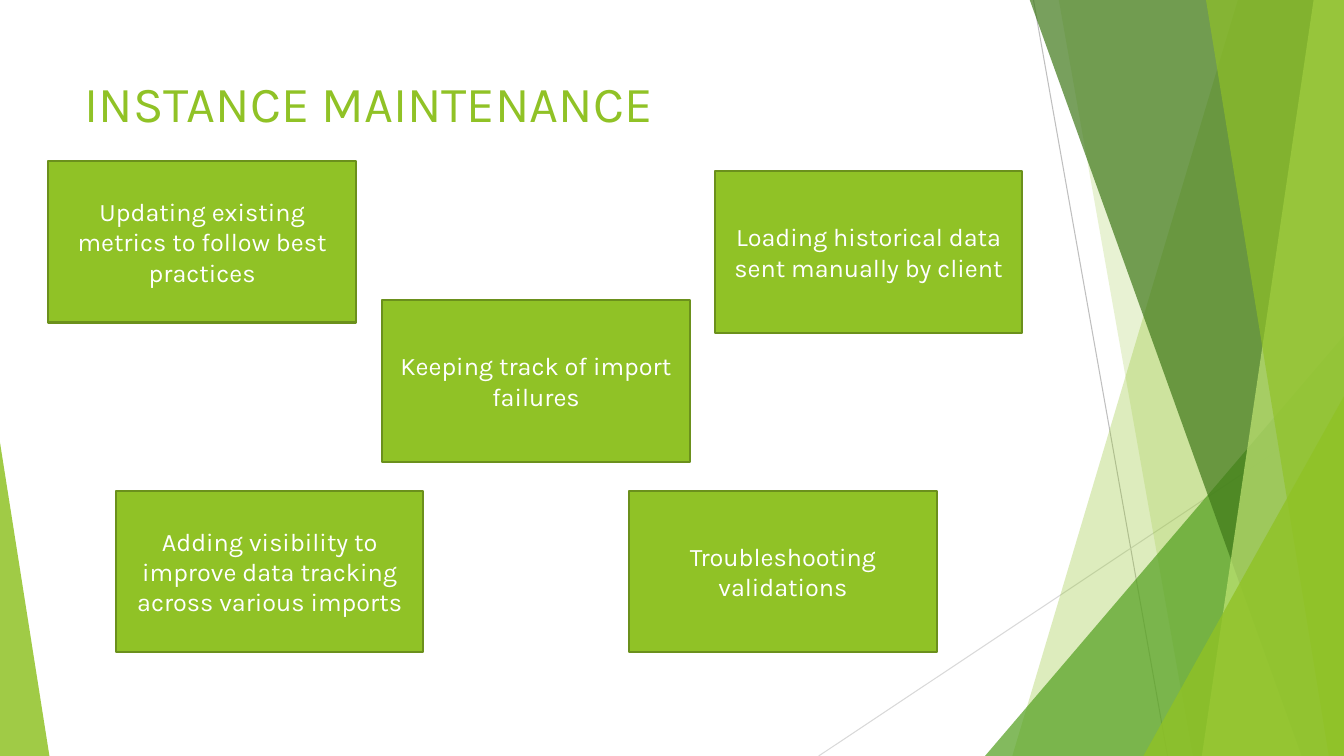
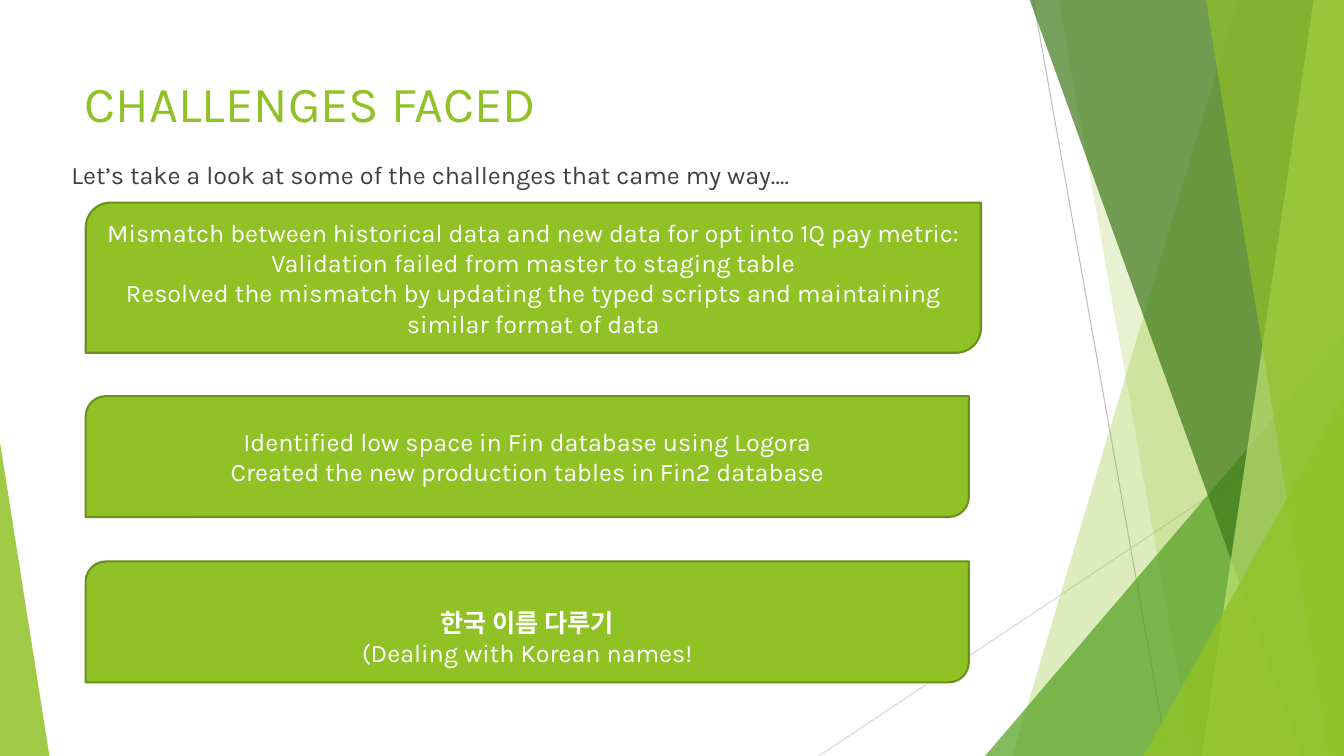
from lxml.etree import SubElement
from pptx import Presentation
from pptx.dml.color import RGBColor
from pptx.enum.shapes import MSO_CONNECTOR, MSO_SHAPE
from pptx.enum.text import MSO_ANCHOR, MSO_AUTO_SIZE, PP_ALIGN
from pptx.oxml.ns import qn
from pptx.util import Inches, Pt

WIDTH, HEIGHT = 13.33, 7.5
COLORS = {
    "lime": "90C226", "lime_edge": "6B901C", "pale_lime": "C0E474",
    "green": "54A021", "forest": "3F7819", "text": "404040",
    "white": "FFFFFF", "line": "BFBFBF", "light_line": "D9D9D9",
}
TITLE = {"name": "Karla", "size": Pt(36), "bold": False, "color": "lime"}
BODY = {"name": "Karla", "size": Pt(18), "bold": False, "color": "text"}
CARD = {**BODY, "color": "white"}
KOREAN = {**CARD, "name": "Roboto", "bold": True}

# from, to, colour
BACKDROP_LINES = [
    ((10.25, 0), (11.58, HEIGHT), "line"),
    ((WIDTH, 4.03), (8.12, HEIGHT), "light_line"),
]
# Sheets run from a slanted left edge (top x, bottom x) to the slide's right edge;
# corners are (left, top, width, apex position). Both end with colour and opacity.
BACKDROP_PARTS = [
    ("sheet", (12.28, 10.04), "lime", 30),
    ("sheet", (10.5, 11.83), "lime", 20),
    ("corner", (9.77, 3.33, 3.56, 1), "green", 72),
    ("sheet", (10.21, 12.91), "forest", 70),
    ("sheet", (13.03, 11.92), "pale_lime", 70),
    ("sheet", (11.96, 13.18), "lime", 65),
    ("corner", (11.34, 3.93, 1.99, 1), "lime", 80),
    ("corner", (0, 4.39, 0.49, 0), "lime", 85),
]


def rgb(color):
    return RGBColor.from_string(COLORS[color])


class Deck:
    def __init__(self):
        self.prs = Presentation()
        self.prs.slide_width, self.prs.slide_height = Inches(WIDTH), Inches(HEIGHT)
        self.slide = None

    def add_slide(self, title, title_height):
        self.slide = self.prs.slides.add_slide(self.prs.slide_layouts[5])
        heading = self.slide.shapes.title
        box = {"left": 0.74, "top": 0.67, "width": 9.4, "height": title_height}
        for side, inches in box.items():
            setattr(heading, side, Inches(inches))
        self.set_text(heading, [title], TITLE, PP_ALIGN.LEFT, MSO_ANCHOR.TOP)
        self.backdrop()

    def set_text(self, shape, lines, style, align, anchor):
        """Fill a shape with paragraphs; a line may be a (text, style) pair."""
        frame = shape.text_frame
        frame.word_wrap = True
        frame.auto_size = MSO_AUTO_SIZE.NONE
        frame.vertical_anchor = anchor
        for index, line in enumerate(lines):
            text, look = (line, style) if isinstance(line, str) else line
            paragraph = frame.paragraphs[0] if index == 0 else frame.add_paragraph()
            paragraph.alignment = align
            run = paragraph.add_run()
            run.text = text
            for key, value in look.items():
                if key == "color":
                    run.font.color.rgb = rgb(value)
                else:
                    setattr(run.font, key, value)

    def paint(self, shape, fill, edge=None, opacity=100):
        shape.shadow.inherit = False
        shape.fill.solid()
        shape.fill.fore_color.rgb = rgb(fill)
        if opacity < 100:
            color = shape._element.spPr.find(qn("a:solidFill")).find(qn("a:srgbClr"))
            SubElement(color, qn("a:alpha")).set("val", str(opacity * 1000))
        if edge:
            shape.line.color.rgb = rgb(edge)
            shape.line.width = Pt(1.5)
        else:
            shape.line.fill.background()

    def line(self, start, end, color):
        points = [Inches(value) for value in (*start, *end)]
        rule = self.slide.shapes.add_connector(MSO_CONNECTOR.STRAIGHT, *points)
        rule.line.color.rgb = rgb(color)
        rule.line.width = Pt(0.75)
        SubElement(rule._element.spPr, qn("a:effectLst"))

    def sheet(self, top_x, bottom_x):
        outline = self.slide.shapes.build_freeform(Inches(top_x), Inches(-0.01))
        corners = [(WIDTH, -0.01), (WIDTH, HEIGHT), (bottom_x, HEIGHT)]
        outline.add_line_segments([(Inches(x), Inches(y)) for x, y in corners])
        return outline.convert_to_shape()

    def corner(self, left, top, width, apex):
        """Add a triangle that stands on the slide's bottom edge."""
        box = [Inches(value) for value in (left, top, width, HEIGHT - top)]
        triangle = self.slide.shapes.add_shape(MSO_SHAPE.ISOSCELES_TRIANGLE, *box)
        triangle.adjustments[0] = apex
        return triangle

    def backdrop(self):
        for rule in BACKDROP_LINES:
            self.line(*rule)
        draw = {"sheet": self.sheet, "corner": self.corner}
        for kind, geometry, color, opacity in BACKDROP_PARTS:
            self.paint(draw[kind](*geometry), color, opacity=opacity)

    def card(self, preset, box, lines, top_inset=0.05):
        card = self.slide.shapes.add_shape(preset, *[Inches(value) for value in box])
        self.paint(card, "lime", "lime_edge")
        card.text_frame.margin_top = Inches(top_inset)
        self.set_text(card, lines, CARD, PP_ALIGN.CENTER, MSO_ANCHOR.MIDDLE)

    def body(self, box, text):
        intro = self.slide.shapes.add_textbox(*[Inches(value) for value in box])
        self.set_text(intro, [text], BODY, PP_ALIGN.LEFT, MSO_ANCHOR.TOP)


def maintenance_slide(deck):
    deck.add_slide("INSTANCE MAINTENANCE", 1.44)
    tasks = [
        (0.48, 1.6, "Updating existing metrics to follow best practices"),
        (3.79, 2.98, "Keeping track of import failures"),
        (7.09, 1.7, "Loading historical data sent manually by client"),
        (6.24, 4.87, "Troubleshooting validations"),
        (1.15, 4.87, "Adding visibility to improve data tracking across various imports"),
    ]
    for left, top, task in tasks:
        deck.card(MSO_SHAPE.RECTANGLE, (left, top, 3.05, 1.6), [task])


def challenges_slide(deck):
    deck.add_slide("CHALLENGES FACED", 1.08)
    deck.body((0.61, 1.53, 9.53, 0.45),
              "Let’s take a look at some of the challenges that came my way….")
    challenges = [
        (2.01, 8.88, 1.49, 0.05, [
            "Mismatch between historical data and new data for opt into 1Q pay metric:",
            "Validation failed from master to staging table",
            "Resolved the mismatch by updating the typed scripts and maintaining "
            "similar format of data",
        ]),
        (3.93, 8.76, 1.2, 0.05, [
            "Identified low space in Fin database using Logora",
            "Created the new production tables in Fin2 database",
        ]),
        (5.57, 8.76, 1.2, 0.35, [
            ("한국 이름 다루기", KOREAN),
            "(Dealing with Korean names!",
        ]),
    ]
    for top, width, height, top_inset, lines in challenges:
        deck.card(MSO_SHAPE.ROUND_2_DIAG_RECTANGLE, (0.85, top, width, height),
                  lines, top_inset)


def main():
    deck = Deck()
    maintenance_slide(deck)
    challenges_slide(deck)
    deck.prs.save("out.pptx")


if __name__ == "__main__":
    main()
